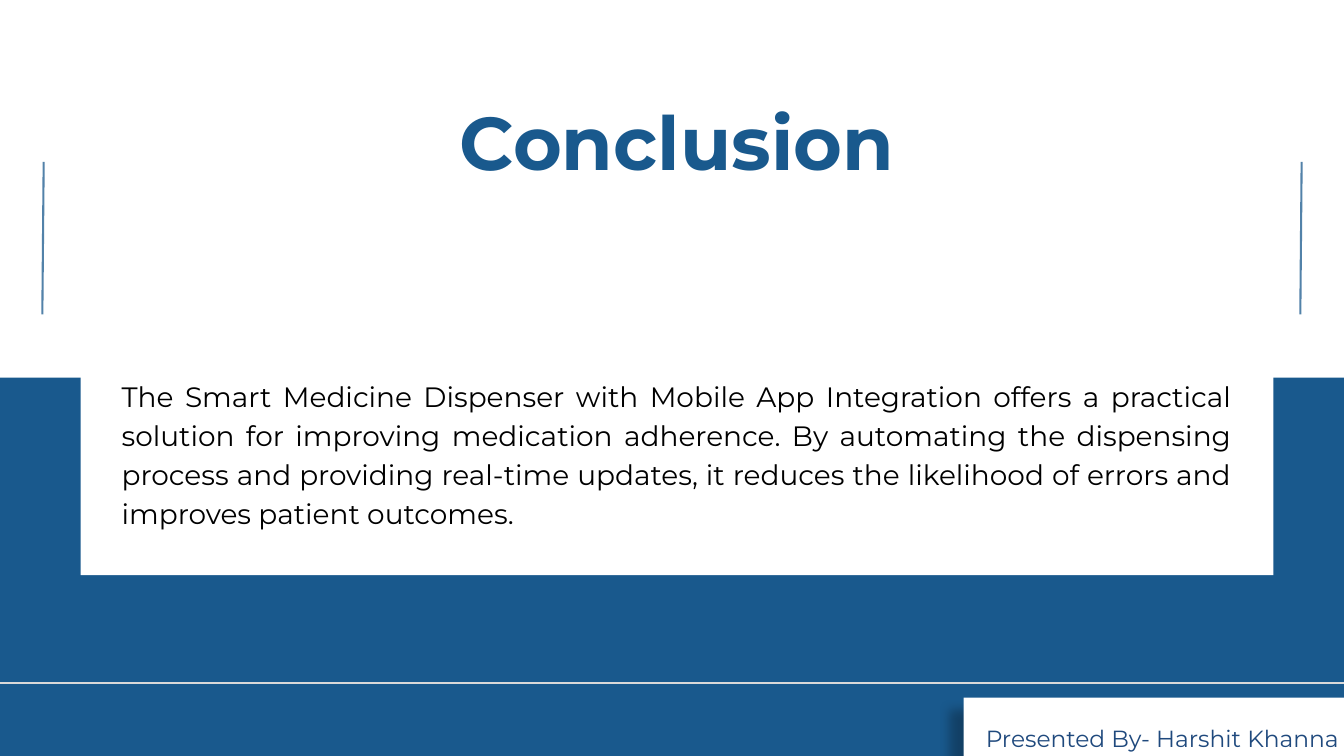
"""Build the conclusion slide of a medicine dispenser talk."""
from lxml.etree import SubElement
from pptx import Presentation
from pptx.dml.color import RGBColor
from pptx.enum.shapes import MSO_CONNECTOR, MSO_SHAPE
from pptx.enum.text import MSO_ANCHOR, MSO_AUTO_SIZE, PP_ALIGN
from pptx.oxml import parse_xml
from pptx.oxml.ns import nsdecls, qn
from pptx.util import Inches, Pt

COLORS = {"blue": "19598D", "navy": "1F497D", "gray": "D9D9D9",
          "white": "FFFFFF", "black": "000000"}


def place(shape, left, top, width, height):
    shape.left, shape.top = Inches(left), Inches(top)
    shape.width, shape.height = Inches(width), Inches(height)


def write(shape, text, size, lead, color, align, bold=False):
    frame = shape.text_frame
    frame.text = text
    frame.word_wrap = True
    frame.auto_size = MSO_AUTO_SIZE.SHAPE_TO_FIT_TEXT
    frame.vertical_anchor = MSO_ANCHOR.TOP
    frame.margin_left = frame.margin_right = 0
    frame.margin_top = frame.margin_bottom = 0
    para = frame.paragraphs[0]
    para.alignment = align
    para.line_spacing = Pt(lead)
    para.space_before = Pt(0)
    font = para.font
    font.name, font.size, font.bold = "Montserrat", Pt(size), bold
    font.color.rgb = RGBColor.from_string(COLORS[color])


deck = Presentation()
deck.slide_width, deck.slide_height = Inches(20), Inches(11.25)
slide = deck.slides.add_slide(deck.slide_layouts[1])
shapes = slide.shapes
title, body = slide.placeholders

rects = []
for box, color in [((-0.47, 5.62, 21.09, 6.72), "blue"),
                   ((1.2, 3.94, 17.75, 4.62), "white"),
                   ((14.34, 10.38, 5.93, 1.12), "white")]:
    rect = shapes.add_shape(MSO_SHAPE.RECTANGLE, *map(Inches, box))
    rect.shadow.inherit = False
    rect.fill.solid()
    rect.fill.fore_color.rgb = RGBColor.from_string(COLORS[color])
    rect.line.fill.background()
    rects.append(rect)
band, panel, badge = rects

shade = badge._element.spPr.find(qn("a:effectLst"))
shade.append(parse_xml(
    f'<a:outerShdw {nsdecls("a")} blurRad="{Pt(11.8)}" dist="{Pt(19.7)}" '
    f'dir="{141 * 60000}" algn="ctr" rotWithShape="0">'
    f'<a:srgbClr val="{COLORS["black"]}"><a:alpha val="28000"/></a:srgbClr>'
    '</a:outerShdw>'))

for ends, color, alpha in [((-0.31, 10.16, 20.31, 10.16), "gray", 100),
                           ((0.63, 4.68, 0.65, 2.41), "blue", 75),
                           ((19.35, 4.68, 19.37, 2.41), "blue", 75)]:
    rule = shapes.add_connector(MSO_CONNECTOR.STRAIGHT, *map(Inches, ends))
    rule.line.width = Pt(2.25)
    rule.line.color.rgb = RGBColor.from_string(COLORS[color])
    props = rule._element.spPr
    SubElement(props, qn("a:effectLst"))
    if alpha < 100:
        tint = props.find(".//" + qn("a:srgbClr"))
        SubElement(tint, qn("a:alpha")).set("val", str(alpha * 1000))

place(title, 6.48, 1.65, 7.19, 1.16)
write(title, "Conclusion", 80, 80, "blue", PP_ALIGN.CENTER, True)

place(body, 1.81, 5.56, 16.52, 2.9)
write(body, "The Smart Medicine Dispenser with Mobile App Integration offers a "
      "practical solution for improving medication adherence. By automating "
      "the dispensing process and providing real-time updates, it reduces the "
      "likelihood of errors and improves patient outcomes.",
      30, 42, "black", PP_ALIGN.JUSTIFY)
format = body.text_frame.paragraphs[0]._p.get_or_add_pPr()
format.set("marL", "0")
format.set("indent", "0")
format.find(qn("a:spcBef")).addnext(parse_xml(f'<a:buNone {nsdecls("a")}/>'))
panel._element.addnext(body._element)

credit = shapes.add_textbox(*map(Inches, (14.67, 10.7, 6.7, 0.45)))
write(credit, "Presented By- Harshit Khanna", 25, 35, "navy", PP_ALIGN.LEFT)

deck.save("out.pptx")
